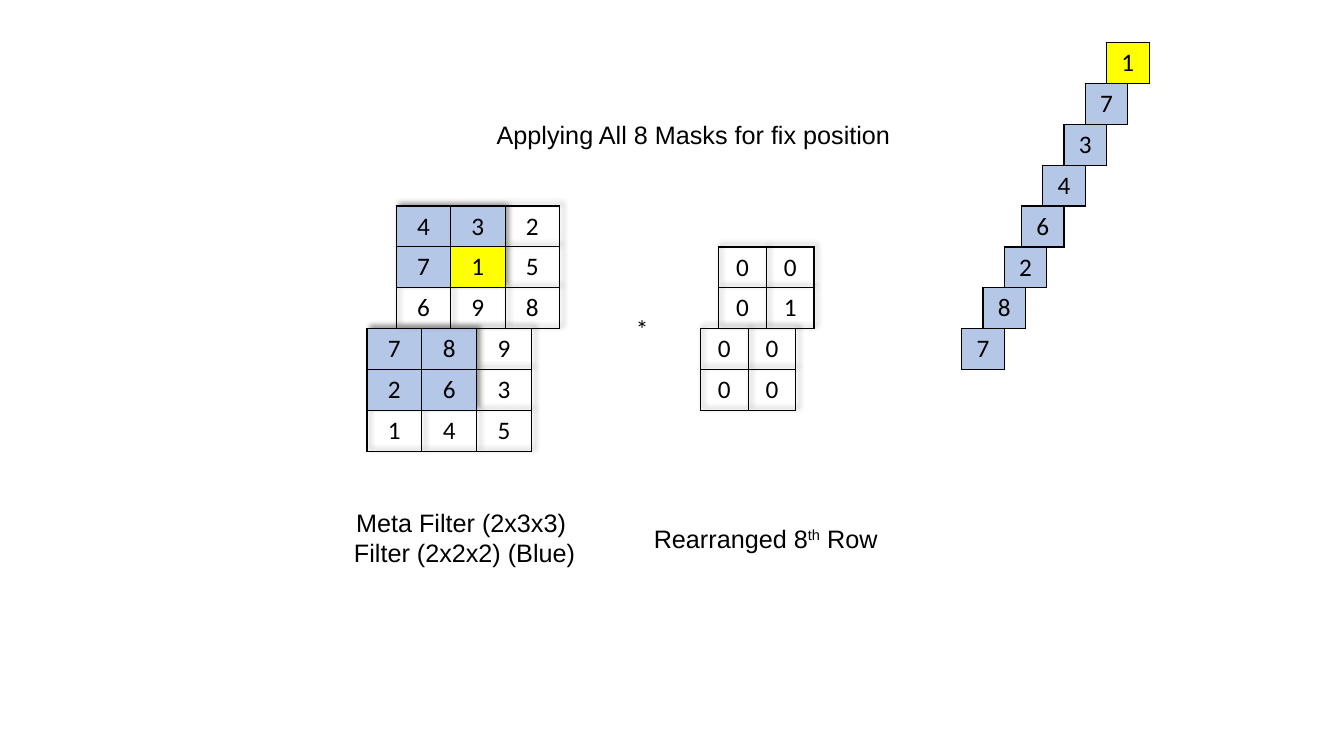
import pptx
import pptx.dml.color
import pptx.enum.text
import pptx.oxml
import pptx.oxml.ns
import pptx.util

Pt = pptx.util.Pt
RGBColor = pptx.dml.color.RGBColor
CENTER = pptx.enum.text.PP_ALIGN.CENTER
LEFT = pptx.enum.text.PP_ALIGN.LEFT
MIDDLE = pptx.enum.text.MSO_ANCHOR.MIDDLE

THEME = {
    "ink": RGBColor(0, 0, 0),
    "filter": RGBColor(0xB4, 0xC7, 0xE7),
    "current": RGBColor(0xFF, 0xFF, 0),
    "digit_font": "Calibri",
    "label_font": "Arial",
    "size": Pt(18),
    "border": Pt(1),
}
FILLS = {"b": THEME["filter"], "y": THEME["current"]}
NO_STYLE = "{2D5ABB26-0587-4C30-8999-92F81FD0307C}"
NAMESPACE = pptx.oxml.ns.nsdecls("a")
ROW_HEIGHT = 29.2
BASE_TOP = 234.8

presentation = pptx.Presentation()
presentation.slide_width = Pt(960)
presentation.slide_height = Pt(540)
slide = presentation.slides.add_slide(presentation.slide_layouts[6])


def style_paragraph(paragraph, font_name, alignment):
    paragraph.alignment = alignment
    for run in paragraph.runs:
        run.font.name = font_name
        run.font.size = THEME["size"]
        run.font.color.rgb = THEME["ink"]


def add_matrix(left, top, column_width, digits, marks, shadow):
    row_count, column_count = len(digits), len(digits[0])
    table = slide.shapes.add_table(
        row_count, column_count, Pt(left), Pt(top),
        Pt(column_width * column_count), Pt(ROW_HEIGHT * row_count)).table
    table.first_row = False
    table.horz_banding = False
    properties = table._tbl.tblPr
    properties.find(pptx.oxml.ns.qn("a:tableStyleId")).text = NO_STYLE
    if shadow:
        properties.insert(0, pptx.oxml.parse_xml(
            f'<a:effectLst {NAMESPACE}><a:outerShdw blurRad="50800" dist="38100" '
            'dir="18900000" algn="bl" rotWithShape="0"><a:prstClr val="black">'
            '<a:alpha val="40000"/></a:prstClr></a:outerShdw></a:effectLst>'))
    for column in table.columns:
        column.width = Pt(column_width)
    for row_index, row in enumerate(table.rows):
        row.height = Pt(ROW_HEIGHT)
        for column_index, cell in enumerate(row.cells):
            cell.text_frame.text = digits[row_index][column_index]
            cell.vertical_anchor = MIDDLE
            style_paragraph(cell.text_frame.paragraphs[0], THEME["digit_font"], CENTER)
            cell_properties = cell._tc.get_or_add_tcPr()
            for side in ("lnL", "lnR", "lnT", "lnB"):
                cell_properties.append(pptx.oxml.parse_xml(
                    f'<a:{side} {NAMESPACE} w="{THEME["border"]}"><a:solidFill>'
                    f'<a:srgbClr val="{THEME["ink"]}"/></a:solidFill></a:{side}>'))
            mark = marks[row_index][column_index]
            if mark in FILLS:
                cell.fill.solid()
                cell.fill.fore_color.rgb = FILLS[mark]
            else:
                cell.fill.background()


matrices = [
    (262.1, BASE_TOP, 39.2, ["789", "263", "145"], ["bb-", "bb-", "---"]),
    (283, 147.1, 38.9, ["432", "715", "698"], ["bb-", "by-", "---"]),
    (500.4, BASE_TOP, 34, ["00", "00"], ["--", "--"]),
    (513.4, 176.4, 34, ["00", "01"], ["--", "--"]),
]
for left, top, column_width, digits, marks in matrices:
    add_matrix(left, top, column_width, digits, marks, True)

for step, (digit, mark) in enumerate(zip("78264371", "bbbbbbby")):
    shift = 3 if step >= 3 else 0
    add_matrix(687 + 15.2 * step - shift, BASE_TOP - ROW_HEIGHT * step,
               30.4, [digit], [mark], False)

labels = [
    (447.1, 220.3, 18, 28.8, "digit_font", LEFT, [["*"]]),
    (202.3, 358.6, 254.2, 51.1, "label_font", CENTER,
     [["Meta Filter (2x3x3)"], [" Filter (2x2x2) (Blue)"]]),
    (419.8, 370.1, 254.2, 28.8, "label_font", CENTER, [["Rearranged 8", "th", " Row"]]),
    (298.8, 81.4, 393.1, 28.8, "label_font", CENTER,
     [["Applying All 8 Masks for fix position"]]),
]
for left, top, width, height, font_key, alignment, lines in labels:
    text_frame = slide.shapes.add_textbox(Pt(left), Pt(top), Pt(width), Pt(height)).text_frame
    text_frame.word_wrap = True
    for index, pieces in enumerate(lines):
        paragraph = text_frame.add_paragraph() if index else text_frame.paragraphs[0]
        for piece in pieces:
            run = paragraph.add_run()
            run.text = piece
            if piece == "th":
                run.font._element.set("baseline", "30000")
        style_paragraph(paragraph, THEME[font_key], alignment)

presentation.save("out.pptx")
